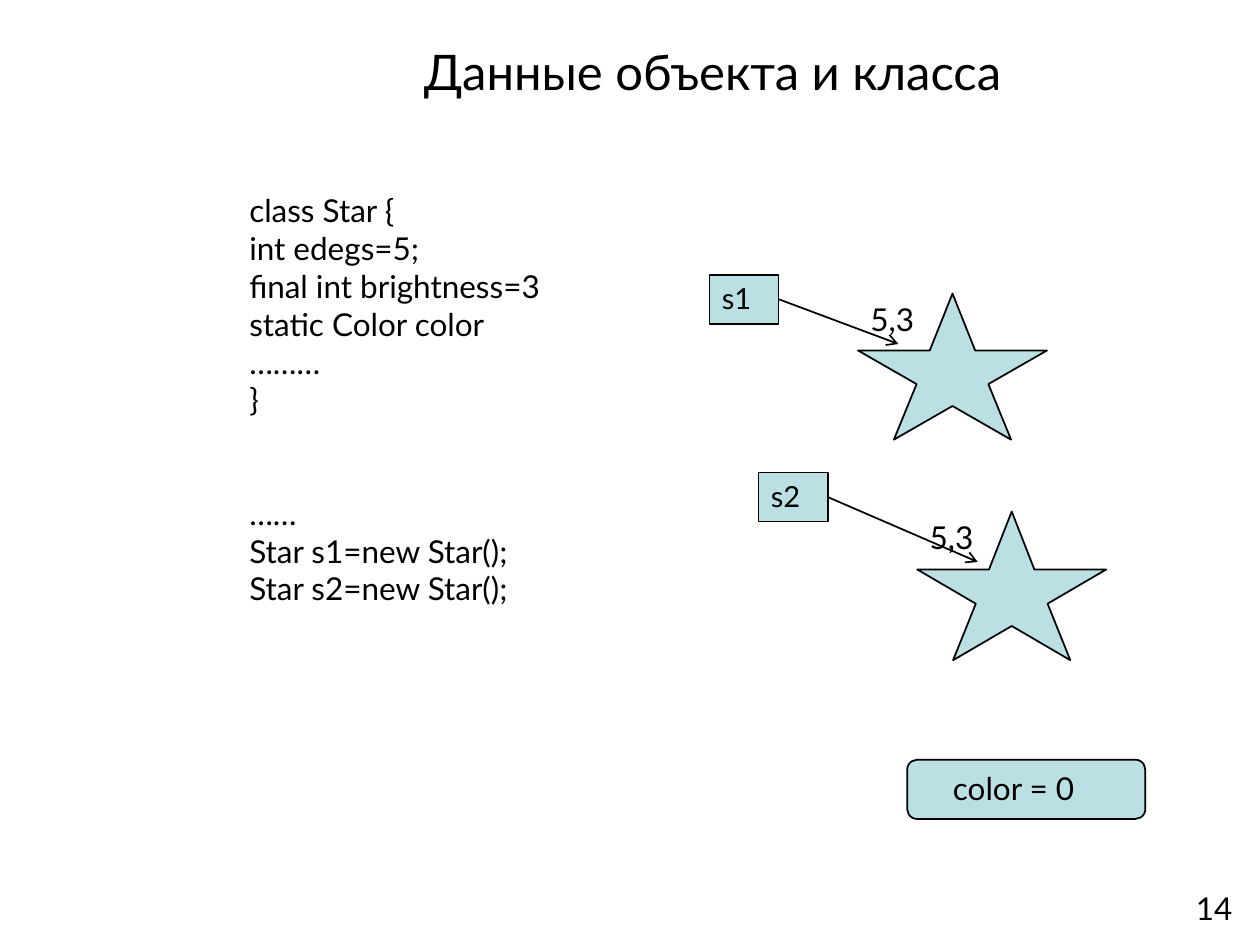
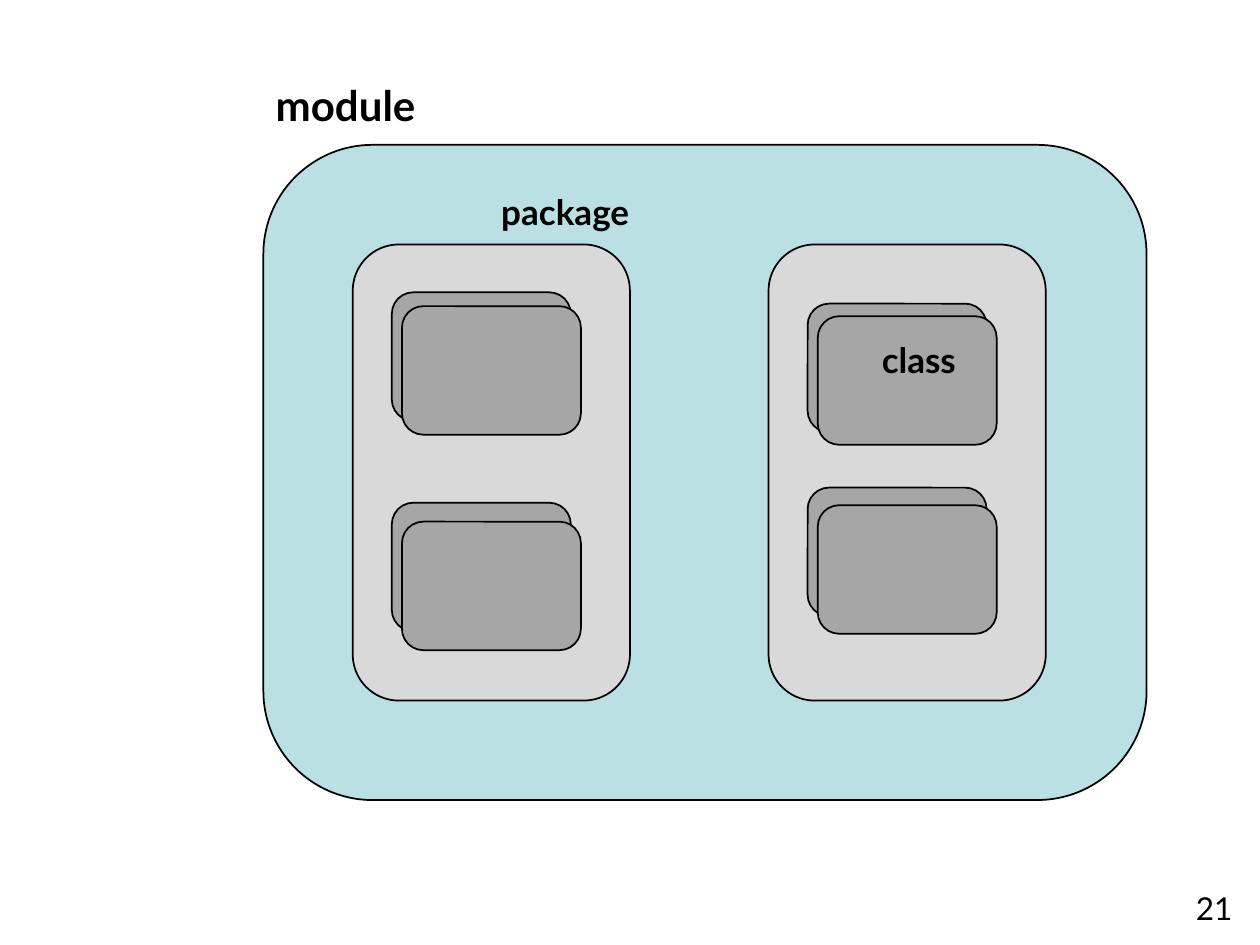
import pptx
import pptx.dml.color
import pptx.enum.shapes
import pptx.enum.text
import pptx.oxml
import pptx.oxml.ns
import pptx.util

Inches = pptx.util.Inches
Pt = pptx.util.Pt
Shape = pptx.enum.shapes.MSO_SHAPE
Align = pptx.enum.text.PP_ALIGN
Anchor = pptx.enum.text.MSO_ANCHOR

INK, AQUA, PALE, GREY = "000000", "BBE0E3", "D9D9D9", "A6A6A6"

# Star outline as shares of its box width and height
STAR = [(0, 0.39), (0.38, 0.39), (0.5, 0), (0.62, 0.39), (1, 0.39),
        (0.69, 0.62), (0.81, 1), (0.5, 0.77), (0.19, 1), (0.31, 0.62)]


def color(code):
    return pptx.dml.color.RGBColor.from_string(code)


def apply(target, values):
    for name, value in values.items():
        setattr(target, name, value)


class Deck:
    font = {"name": "Lato", "size": Pt(18), "bold": False}
    frame = {"word_wrap": True, "vertical_anchor": Anchor.TOP,
             "margin_left": Inches(0.1), "margin_right": Inches(0.1),
             "margin_top": Inches(0.05), "margin_bottom": Inches(0.05)}

    def __init__(self):
        self.show = pptx.Presentation()
        apply(self.show, {"slide_width": Inches(10), "slide_height": Inches(7.5)})
        self.slide = None

    def start(self, number):
        self.slide = self.show.slides.add_slide(self.show.slide_layouts[6])
        self.label(7.55, 7.01, 2.33, 0.52, str(number), align=Align.RIGHT)

    def letter(self, shape, text, align=Align.LEFT, frame=None, **font):
        """Fill a shape with text, one paragraph a line; font overrides the style."""
        apply(shape.text_frame, {**self.frame, **(frame or {})})
        shape.text_frame.text = text
        for line in shape.text_frame.paragraphs:
            line.alignment = align
            apply(line.font, {**self.font, **font})
            line.font.color.rgb = color(INK)

    def label(self, left, top, width, height, text, **style):
        box = self.slide.shapes.add_textbox(
            Inches(left), Inches(top), Inches(width), Inches(height))
        self.letter(box, text, **style)
        return box

    def title(self, text):
        self.label(1.53, 0.13, 8.25, 0.87, text, align=Align.CENTER,
                   frame={"vertical_anchor": Anchor.MIDDLE}, size=Pt(28))

    def paint(self, shape, fill):
        shape.shadow.inherit = False
        shape.fill.solid()
        shape.fill.fore_color.rgb = color(fill)
        self.stroke(shape)

    def stroke(self, shape):
        shape.line.width = Pt(1)
        shape.line.color.rgb = color(INK)

    def block(self, kind, left, top, width, height, fill, text="", **style):
        shape = self.slide.shapes.add_shape(
            kind, Inches(left), Inches(top), Inches(width), Inches(height))
        self.paint(shape, fill)
        if text:
            self.letter(shape, text, **style)
        return shape

    def star(self, left, top, width, height, text):
        points = [(Inches(left + x * width), Inches(top + y * height))
                  for x, y in STAR]
        outline = self.slide.shapes.build_freeform(*points[0])
        outline.add_line_segments(points[1:], close=True)
        shape = outline.convert_to_shape()
        self.paint(shape, AQUA)
        self.letter(shape, text)

    def arrow(self, source, right, bottom):
        """Draw an arrow from the right side of source to a point."""
        line = self.slide.shapes.add_connector(
            pptx.enum.shapes.MSO_CONNECTOR.STRAIGHT,
            source.left + source.width, source.top + source.height // 2,
            Inches(right), Inches(bottom))
        line.begin_connect(source, 3)
        self.stroke(line)
        space = pptx.oxml.ns.nsdecls("a")
        props = line._element.spPr
        props.get_or_add_ln().append(
            pptx.oxml.parse_xml(f'<a:tailEnd {space} type="arrow"/>'))
        props.append(pptx.oxml.parse_xml(f"<a:effectLst {space}/>"))


CODE = """class Star {
int edegs=5;
final int brightness=3
static Color color
………
}
……
Star s1=new Star();
Star s2=new Star();"""


def objects(deck):
    deck.start(14)
    deck.title("Данные объекта и класса")
    code = deck.label(1.88, 1.47, 2.69, 3.4, CODE)
    code.text_frame.paragraphs[6].space_before = Pt(43.2)

    # name, its box corner, arrow end, star corner, star height
    for name, corner, end, place, height in [
            ("s1", (5.63, 2.18), (7.13, 2.73), (6.81, 2.33), 1.16),
            ("s2", (6.02, 3.75), (7.76, 4.46), (7.28, 4.06), 1.18)]:
        box = deck.block(Shape.RECTANGLE, *corner, 0.55, 0.39, AQUA, name,
                         size=Pt(16.6))
        deck.arrow(box, *end)
        deck.star(*place, 1.5, height, "5,3")

    deck.block(Shape.ROUNDED_RECTANGLE, 7.2, 6.03, 1.89, 0.47, AQUA,
               "color = 0", frame={"margin_left": Inches(0.34)})


def layers(deck):
    deck.start(21)
    deck.block(Shape.ROUNDED_RECTANGLE, 2.09, 1.15, 7.01, 5.2, AQUA)

    # left edge of each group, then (back, front) tops of its card pairs
    for left, pairs in [(2.8, [(2.32, 2.43), (3.99, 4.14)]),
                        (6.1, [(2.41, 2.51), (3.87, 4.01)])]:
        deck.block(Shape.ROUNDED_RECTANGLE, left, 1.94, 2.2, 3.62, PALE)
        for pair in pairs:
            for step, top in enumerate(pair):
                deck.block(Shape.ROUNDED_RECTANGLE, left + 0.31 + 0.08 * step,
                           top, 1.42, 1.02, GREY)

    for left, top, width, height, text, size in [
            (2.09, 0.58, 1.46, 0.5, "module", 24),
            (3.88, 1.46, 1.37, 0.44, "package", 20),
            (6.9, 2.64, 0.87, 0.44, "class", 20)]:
        deck.label(left, top, width, height, text, size=Pt(size), bold=True)


def main():
    deck = Deck()
    objects(deck)
    layers(deck)
    deck.show.save("out.pptx")


if __name__ == "__main__":
    main()
